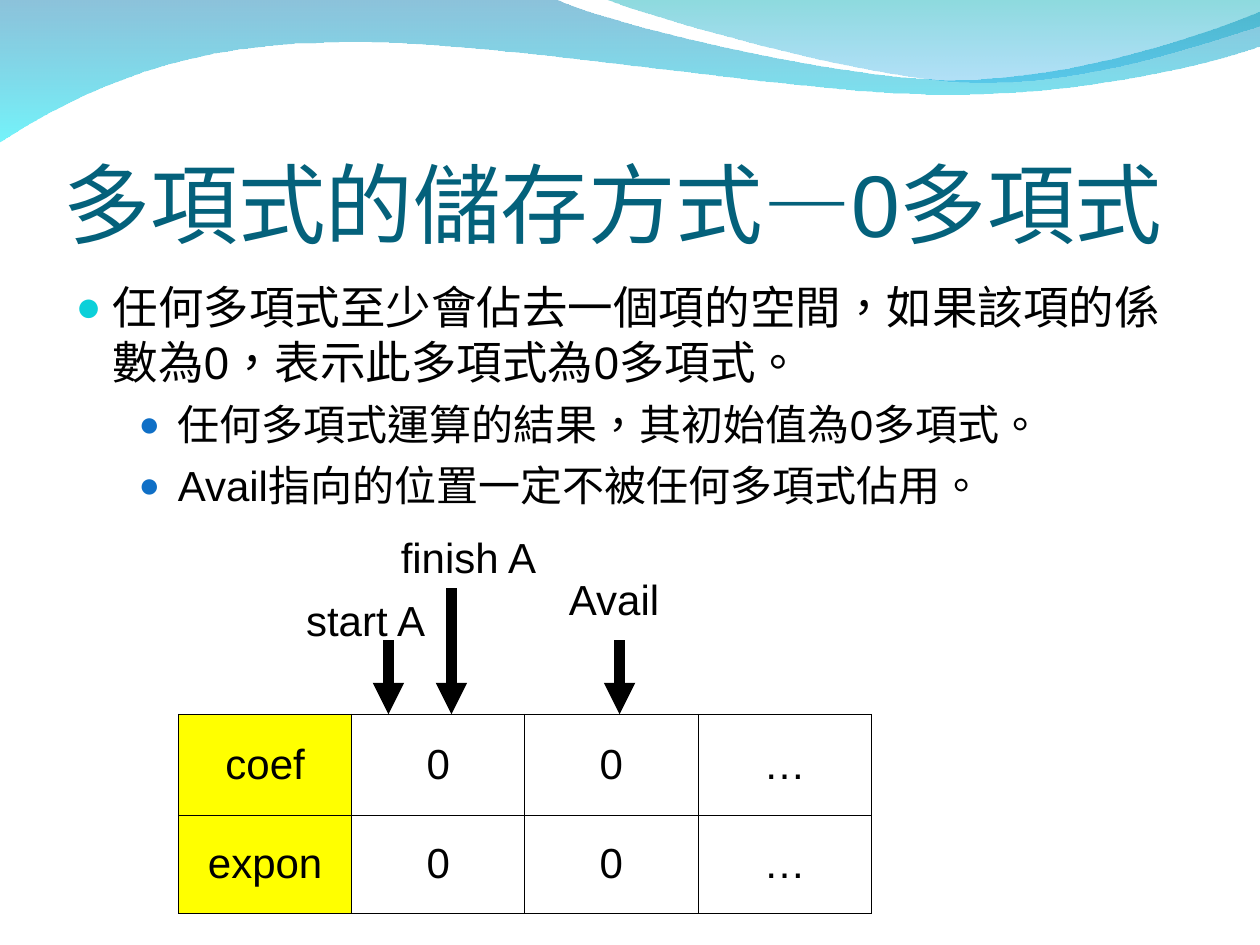
from itertools import groupby

from pptx import Presentation
from pptx.dml.color import RGBColor
from pptx.enum.shapes import MSO_CONNECTOR as Connector
from pptx.enum.text import MSO_ANCHOR as Anchor, MSO_AUTO_SIZE as AutoSize, PP_ALIGN as Align
from pptx.oxml.ns import qn
from pptx.util import Cm, Pt
from lxml.etree import SubElement

# Theme
THEME = {
    "latin": "Arial", "cjk": "Noto Sans CJK SC", "language": "zh-TW",
    "title": "04617B", "ink": "000000", "header": "FFFF00",
    "title_size": 50, "label_size": 24, "arrow": 6, "grid": 0.45,
}
LEVELS = [  # size, space before, left margin, indent, bullet colour, bullet percent
    dict(size=26, before=6.5, margin=0.75, indent=-0.75, bullet="0BD0D9", percent=95),
    dict(size=24, before=6, margin=2.06, indent=-0.79, bullet="0F6FC6", percent=85),
]

# Content
TITLE = "多項式的儲存方式—0多項式"
BULLETS = [
    (0, "任何多項式至少會佔去一個項的空間，如果該項的係數為0，表示此多項式為0多項式。"),
    (1, "任何多項式運算的結果，其初始值為0多項式。"),
    (1, "Avail指向的位置一定不被任何多項式佔用。"),
]
ROWS = [("coef", "0", "0", "…"), ("expon", "0", "0", "…")]
POINTERS = [  # text, label left, label top, label width, arrow x, arrow top
    ("start A", 5.92, 11.86, 3.71, 7.83, 12.91),
    ("finish A", 7.83, 10.59, 4.01, 9.1, 11.86),
    ("Avail", 11.22, 11.43, 4.01, 12.49, 12.91),
]

# Layout in centimetres
TITLE_AREA = (1.27, 1.96, 22.86, 3.18)
BODY_AREA = (1.27, 5.5, 22.86, 12.19)
TABLE_LEFT, TABLE_TOP, COLUMN_WIDTH = 3.6, 14.4, 3.49
ROW_HEIGHTS = (2.03, 1.98)
LABEL_HEIGHT = 1.27

# Waves: two numbers make a straight segment, six a Bezier curve
WAVES = [
    dict(start=(0, -0.03), stops=[("0079AF", 45), ("00EBF8", 55)], segments=[
        (11.18, -0.03),
        (12.09, 0.43, 16.87, 1.6, 19.25, 1.6),
        (21.67, 1.6, 24.33, 0.66, 25.4, 0.23),
        (25.43, 0.91),
        (24.97, 1.12, 22.1, 1.93, 18.95, 1.9),
        (15.8, 1.9, 9.7, 0.71, 6.53, 0.86),
        (3.28, 0.89, 1.17, 2.11, -0.03, 2.87)]),
    dict(start=(12.17, -0.03), stops=[("00ADB6", 45), ("009BE5", 30)], segments=[
        (12.93, 0.28, 17.32, 1.57, 19.53, 1.65),
        (21.87, 1.75, 24.41, 0.81, 25.4, 0.53),
        (25.4, 0)]),
]


def set_format(target, **values):
    for name, value in values.items():
        setattr(target, name, value)


def place(shape, area):
    set_format(shape, **dict(zip(("left", "top", "width", "height"), map(Cm, area))))


def write(para, text, size, color):
    """Split the text into Latin and Chinese spans, each in its font."""
    for is_latin, chars in groupby(text, str.isascii):
        span = para.add_run()
        span.text = "".join(chars)
        name = THEME["latin" if is_latin or text == "…" else "cjk"]
        set_format(span.font, size=Pt(size), name=name, bold=False)
        span.font.color.rgb = RGBColor.from_string(color)
        properties = span.font._element
        properties.set("lang", THEME["language"])
        SubElement(properties, qn("a:ea"), typeface=name)


def bend(wave, segments):
    """Turn the straight segments that have control points into curves."""
    lines = list(wave.element.iter(qn("a:lnTo")))
    for line, segment in zip(lines, segments):
        if len(segment) == 6:
            curve = line.makeelement(qn("a:cubicBezTo"))
            for x, y in zip(segment[::2], segment[1::2]):
                SubElement(curve, qn("a:pt"), x=str(Cm(x) - wave.left), y=str(Cm(y) - wave.top))
            line.getparent().replace(line, curve)


def add_wave(page, master, order, start, stops, segments):
    builder = page.shapes.build_freeform(Cm(start[0]), Cm(start[1]))
    builder.add_line_segments([(Cm(x), Cm(y)) for *_, x, y in segments])
    wave = builder.convert_to_shape()
    bend(wave, segments)
    wave.shadow.inherit = False
    wave.line.fill.background()
    wave.fill.gradient()
    wave.fill.gradient_angle = 270
    for stop, (color, opacity) in zip(wave.fill.gradient_stops, stops):
        stop.color.rgb = RGBColor.from_string(color)
        SubElement(stop._gs[0], qn("a:alpha"), val=str(opacity * 1000))
    master.shapes.element.insert(2 + order, wave.element)


def add_bullet(para, level, text):
    style = LEVELS[level]
    set_format(para, level=level, space_before=Pt(style["before"]), line_spacing=1.0)
    properties = para._p.get_or_add_pPr()
    properties.set("marL", str(Cm(style["margin"])))
    properties.set("indent", str(Cm(style["indent"])))
    color = SubElement(properties, qn("a:buClr"))
    SubElement(color, qn("a:srgbClr"), val=style["bullet"])
    SubElement(properties, qn("a:buSzPct"), val=str(style["percent"] * 1000))
    SubElement(properties, qn("a:buFont"), typeface=THEME["latin"])
    SubElement(properties, qn("a:buChar"), char="●")
    write(para, text, style["size"], THEME["ink"])


def add_borders(cell):
    properties = cell._tc.get_or_add_tcPr()
    for order, side in enumerate(("lnL", "lnR", "lnT", "lnB")):
        line = properties.makeelement(qn("a:" + side), {"w": str(Pt(THEME["grid"]))})
        fill = SubElement(line, qn("a:solidFill"))
        SubElement(fill, qn("a:srgbClr"), val=THEME["ink"])
        properties.insert(order, line)


def add_pointer(page, text, left, top, width, x, arrow_top):
    box = page.shapes.add_textbox(*map(Cm, (left, top, width, LABEL_HEIGHT)))
    set_format(box.text_frame, word_wrap=True, auto_size=AutoSize.SHAPE_TO_FIT_TEXT)
    write(box.text_frame.paragraphs[0], text, THEME["label_size"], THEME["ink"])
    arrow = page.shapes.add_connector(
        Connector.STRAIGHT, *map(Cm, (x, arrow_top, x, TABLE_TOP)))
    arrow.line.width = Pt(THEME["arrow"])
    arrow.line.color.rgb = RGBColor.from_string(THEME["ink"])
    SubElement(arrow.line._get_or_add_ln(), qn("a:tailEnd"), type="triangle")
    SubElement(arrow._element.spPr, qn("a:effectLst"))


deck = Presentation()
set_format(deck, slide_width=Cm(25.4), slide_height=Cm(19.05))
page = deck.slides.add_slide(deck.slide_layouts[1])

# Background waves belong to the master
for order, wave in enumerate(WAVES):
    add_wave(page, deck.slide_master, order, **wave)

# Title
title = page.shapes.title
place(title, TITLE_AREA)
set_format(title.text_frame, vertical_anchor=Anchor.BOTTOM, auto_size=AutoSize.NONE,
           word_wrap=True, margin_left=0, margin_right=0, margin_bottom=0, margin_top=Cm(0.13))
heading = title.text_frame.paragraphs[0]
heading.alignment = Align.LEFT
write(heading, TITLE, THEME["title_size"], THEME["title"])

# Bullet list
body = page.placeholders[1]
place(body, BODY_AREA)
frame = body.text_frame
set_format(frame, auto_size=AutoSize.NONE, word_wrap=True)
for index, (level, text) in enumerate(BULLETS):
    add_bullet(frame.add_paragraph() if index else frame.paragraphs[0], level, text)

# Storage table
column_count = len(ROWS[0])
table = page.shapes.add_table(len(ROWS), column_count, *map(Cm, (
    TABLE_LEFT, TABLE_TOP, COLUMN_WIDTH * column_count, sum(ROW_HEIGHTS)))).table
set_format(table, first_row=False, horz_banding=False)
for column in table.columns:
    column.width = Cm(COLUMN_WIDTH)
for row, height, texts in zip(table.rows, ROW_HEIGHTS, ROWS):
    row.height = Cm(height)
    for index, (cell, text) in enumerate(zip(row.cells, texts)):
        cell.vertical_anchor = Anchor.MIDDLE
        if index == 0:
            cell.fill.solid()
            cell.fill.fore_color.rgb = RGBColor.from_string(THEME["header"])
        else:
            cell.fill.background()
        add_borders(cell)
        para = cell.text_frame.paragraphs[0]
        para.alignment = Align.CENTER
        write(para, text, THEME["label_size"], THEME["ink"])

# Pointers into the table
for pointer in POINTERS:
    add_pointer(page, *pointer)

deck.save("out.pptx")
